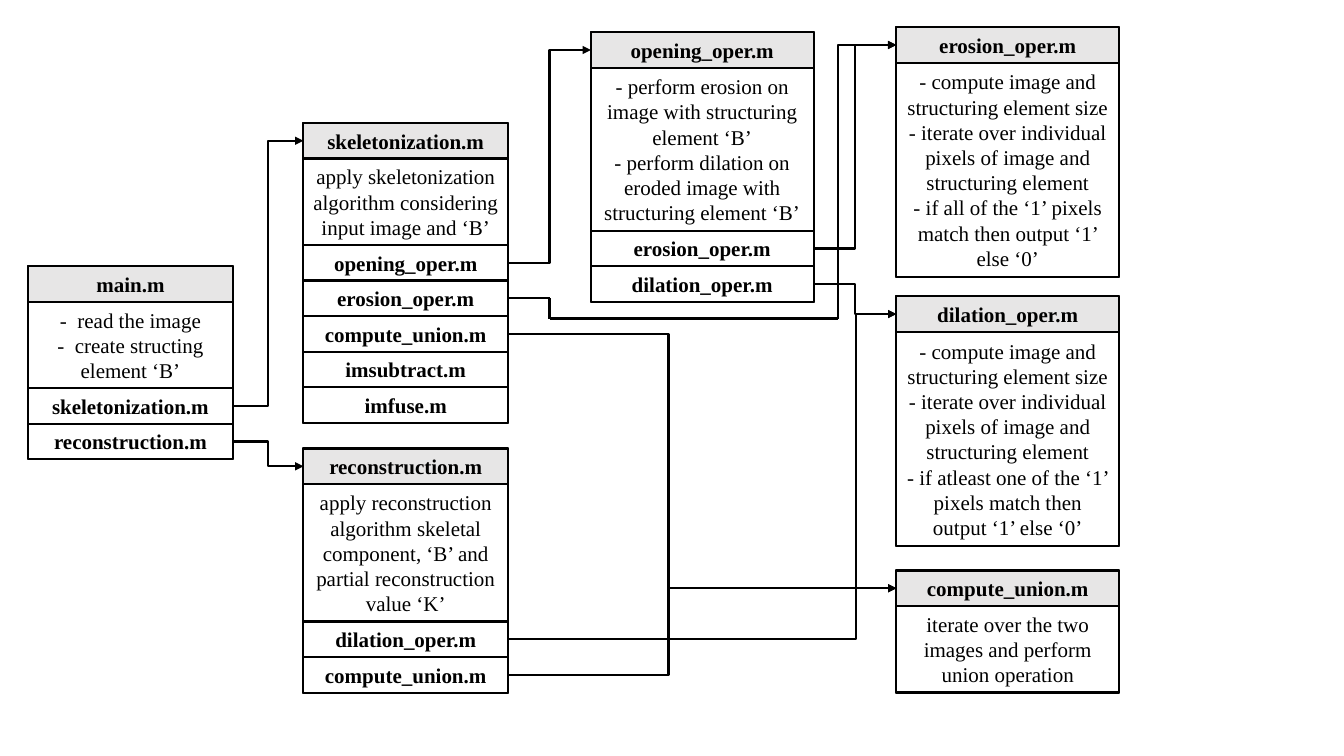
from lxml import etree
from pptx import Presentation
from pptx.dml.color import RGBColor
from pptx.enum.shapes import MSO_CONNECTOR, MSO_SHAPE
from pptx.enum.text import MSO_ANCHOR, PP_ALIGN
from pptx.oxml.ns import qn
from pptx.util import Inches, Pt

RECTANGLE = MSO_SHAPE.RECTANGLE
STRAIGHT, ELBOW = MSO_CONNECTOR.STRAIGHT, MSO_CONNECTOR.ELBOW
CENTER, MIDDLE = PP_ALIGN.CENTER, MSO_ANCHOR.MIDDLE

COLORS = {"ink": "000000", "header": "E7E6E6", "paper": "FFFFFF"}
FONT, FONT_SIZE, LINE_WIDTH = "Times New Roman", 15, 1.5

# name: left, top, width, body line count, body paragraphs, called functions
MODULES = {
    "main.m": (0.28, 2.64, 2.03, 3,
               ["-  read the image", "-  create structing element ‘B’"],
               ["skeletonization.m", "reconstruction.m"]),
    "skeletonization.m": (3.01, 1.22, 2.03, 3,
                          ["apply skeletonization algorithm considering input image and ‘B’"],
                          ["opening_oper.m", "erosion_oper.m", "compute_union.m",
                           "imsubtract.m", "imfuse.m"]),
    "opening_oper.m": (5.86, 0.32, 2.21, 6,
                       ["- perform erosion on image with structuring element ‘B’",
                        "- perform dilation on eroded image with structuring element ‘B’"],
                       ["erosion_oper.m", "dilation_oper.m"]),
    "erosion_oper.m": (8.89, 0.27, 2.21, 8,
                       ["- compute image and structuring element size",
                        "- iterate over individual pixels of image and structuring element",
                        "- if all of the ‘1’ pixels match then output ‘1’ else ‘0’"],
                       []),
    "dilation_oper.m": (8.89, 2.94, 2.21, 8,
                        ["- compute image and structuring element size",
                         "- iterate over individual pixels of image and structuring element",
                         "- if atleast one of the ‘1’ pixels match then output ‘1’ else ‘0’"],
                        []),
    "compute_union.m": (8.89, 5.66, 2.21, 3,
                        ["iterate over the two images and perform union operation"],
                        []),
    "reconstruction.m": (3.01, 4.45, 2.03, 5,
                         ["apply reconstruction algorithm skeletal component, "
                          "‘B’ and partial reconstruction value ‘K’"],
                         ["dilation_oper.m", "compute_union.m"]),
}

# caller, called module, x of the vertical run
CALLS = [
    ("main.m", "skeletonization.m", 2.66),
    ("main.m", "reconstruction.m", 2.66),
    ("skeletonization.m", "opening_oper.m", 5.45),
    ("skeletonization.m", "compute_union.m", 6.63),
    ("opening_oper.m", "erosion_oper.m", 8.48),
    ("opening_oper.m", "dilation_oper.m", 8.48),
    ("reconstruction.m", "dilation_oper.m", 8.49),
    ("reconstruction.m", "compute_union.m", 6.63),
]
# The call that passes below opening_oper.m
DETOUR_LEFT, DETOUR_RIGHT, DETOUR_Y = 5.45, 8.31, 3.16


def height_of(lines):
    """Height in inches of a box holding this many text lines."""
    return (7.2 + 18.2 * lines) / 72


ROW = height_of(1)


def add_box(page, left, top, width, height, fill=None, paragraphs=(), bold=False):
    box = page.shapes.add_shape(RECTANGLE, Inches(left), Inches(top),
                                Inches(width), Inches(height))
    box.shadow.inherit = False
    box.line.color.rgb = RGBColor.from_string(COLORS["ink"])
    box.line.width = Pt(LINE_WIDTH)
    if fill:
        box.fill.solid()
        box.fill.fore_color.rgb = RGBColor.from_string(COLORS[fill])
    else:
        box.fill.background()
    frame = box.text_frame
    frame.word_wrap = True
    frame.vertical_anchor = MIDDLE
    frame.margin_left = frame.margin_right = Inches(0.08)
    frame.margin_top = frame.margin_bottom = Inches(0.05)
    for index, text in enumerate(paragraphs):
        para = frame.paragraphs[0] if index == 0 else frame.add_paragraph()
        para.alignment = CENTER
        para.line_spacing = Pt(18)
        span = para.add_run()
        span.text = text
        span.font.name = FONT
        span.font.size = Pt(FONT_SIZE)
        span.font.bold = bold
        span.font.color.rgb = RGBColor.from_string(COLORS["ink"])


def add_module(page, name):
    left, top, width, lines, body, calls = MODULES[name]
    body_height = height_of(lines)
    add_box(page, left, top, width, ROW * (1 + len(calls)) + body_height)
    add_box(page, left, top, width, ROW, "header", [name], True)
    add_box(page, left, top + ROW, width, body_height, "paper", body)
    for call in calls:
        add_box(page, left, call_middle(name, call) - ROW / 2, width, ROW,
                "paper", [call], True)


def call_middle(caller, called):
    left, top, width, lines, body, calls = MODULES[caller]
    return top + height_of(lines) + ROW * (calls.index(called) + 1.5)


def right_edge(name):
    return MODULES[name][0] + MODULES[name][2]


def header_entry(name):
    """Point where an arrow meets the module's header."""
    return MODULES[name][0], MODULES[name][1] + ROW / 2


def add_line(page, start, end, bend_x=None):
    """Plain line, or an elbow arrow when bend_x is given."""
    kind = STRAIGHT if bend_x is None else ELBOW
    line = page.shapes.add_connector(kind, *map(Inches, start + end))
    line.line.color.rgb = RGBColor.from_string(COLORS["ink"])
    line.line.width = Pt(LINE_WIDTH)
    properties = line._element.spPr
    etree.SubElement(properties, qn("a:effectLst"))
    if bend_x is not None:
        share = (bend_x - start[0]) / (end[0] - start[0])
        adjustments = properties.find(qn("a:prstGeom")).get_or_add_avLst()
        etree.SubElement(adjustments, qn("a:gd"), name="adj1",
                         fmla=f"val {round(share * 100000)}")
        etree.SubElement(line.line._get_or_add_ln(), qn("a:tailEnd"), type="triangle")


def main():
    deck = Presentation()
    deck.slide_width, deck.slide_height = Inches(13.33), Inches(7.5)
    page = deck.slides.add_slide(deck.slide_layouts[6])
    for name in MODULES:
        add_module(page, name)
    for caller, called, bend_x in CALLS:
        start = right_edge(caller), call_middle(caller, called)
        add_line(page, start, header_entry(called), bend_x)

    detour_start = call_middle("skeletonization.m", "erosion_oper.m")
    corners = [(right_edge("skeletonization.m"), detour_start),
               (DETOUR_LEFT, detour_start),
               (DETOUR_LEFT, DETOUR_Y),
               (DETOUR_RIGHT, DETOUR_Y)]
    for start, end in zip(corners, corners[1:]):
        add_line(page, start, end)
    add_line(page, corners[-1], header_entry("erosion_oper.m"), DETOUR_RIGHT)
    deck.save("out.pptx")


if __name__ == "__main__":
    main()
